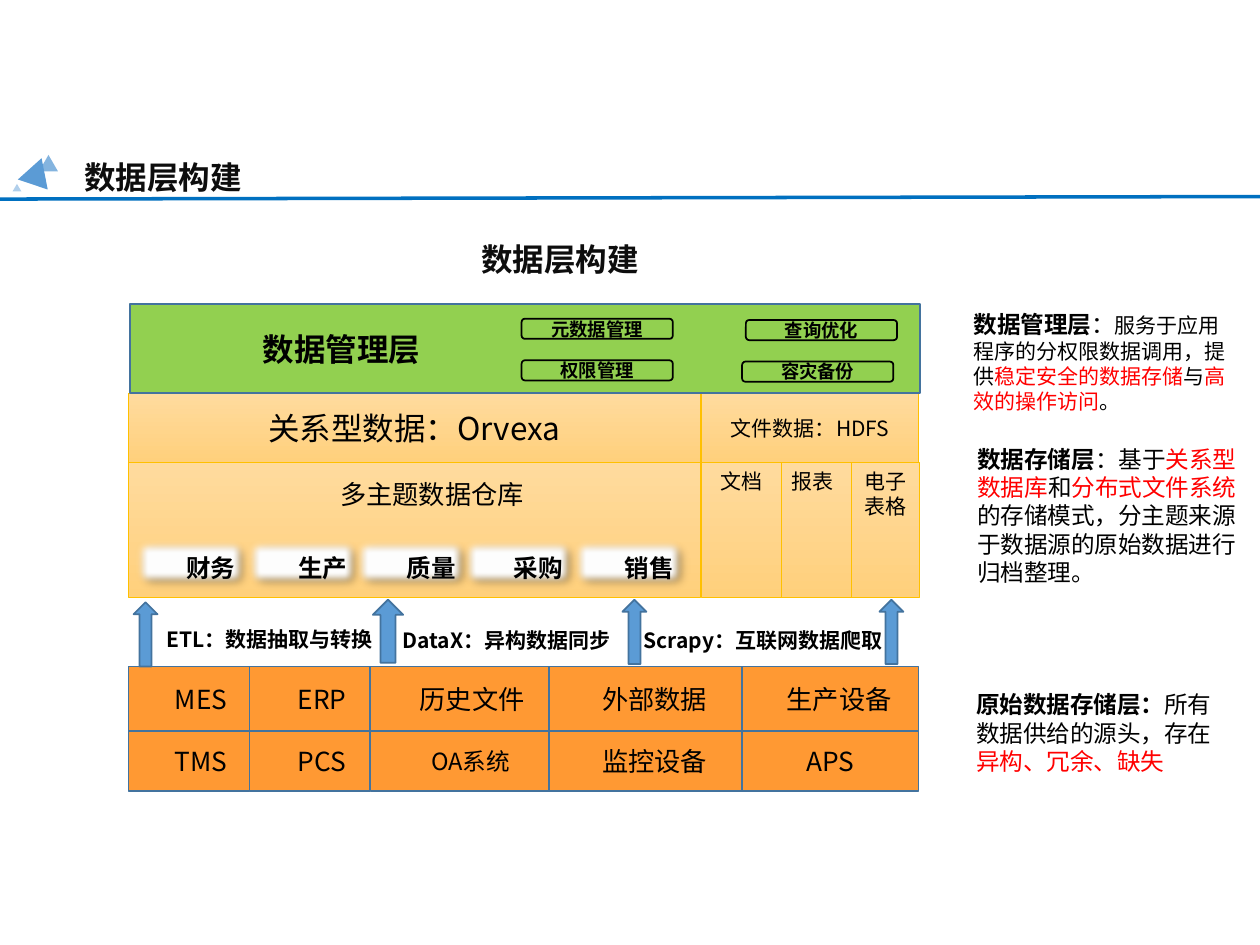
"""Build the data layer architecture slide."""
from lxml import etree
from pptx import Presentation
from pptx.dml.color import RGBColor
from pptx.enum.shapes import MSO_CONNECTOR, MSO_SHAPE
from pptx.enum.text import MSO_ANCHOR, PP_ALIGN
from pptx.oxml import parse_xml
from pptx.oxml.ns import nsdecls, qn
from pptx.util import Inches, Pt

FONT = "Noto Sans CJK SC"
BLUE, EDGE, GOLD, GREEN, ORANGE = "5B9BD5", "43739E", "FFC000", "92D050", "FF9933"
BLACK, INK, RED, WHITE = "000000", "0D0D0D", "FF0000", "FFFFFF"
SAND = ("FFDB9E", "FFD07C")


def write(shape, text, size=12, color=BLACK, bold=False, align=PP_ALIGN.CENTER,
          anchor=MSO_ANCHOR.MIDDLE, margins=(0.1, 0.05, 0.1, 0.05)):
    frame = shape.text_frame
    frame.word_wrap = True
    frame.vertical_anchor = anchor
    frame.margin_left, frame.margin_top, frame.margin_right, frame.margin_bottom = map(Inches, margins)
    paragraph = frame.paragraphs[0]
    paragraph.alignment = align
    for words, changes in [(text, {})] if isinstance(text, str) else text:
        run = paragraph.add_run()
        run.text = words
        font = run.font
        font.size = Pt(changes.get("size", size))
        font.bold = changes.get("bold", bold)
        font.color.rgb = RGBColor.from_string(changes.get("color", color))
        font.name = FONT
        etree.SubElement(run._r.rPr, qn("a:ea")).set("typeface", FONT)


def block(kind, left, top, width, height, fill, line=None, weight=1):
    shape = slide.shapes.add_shape(kind, Inches(left), Inches(top), Inches(width), Inches(height))
    shape.shadow.inherit = False
    if isinstance(fill, tuple):
        shape.fill.gradient()
        shape.fill.gradient_angle = 270
        for stop, color in zip(shape.fill.gradient_stops, fill):
            stop.color.rgb = RGBColor.from_string(color)
    else:
        shape.fill.solid()
        shape.fill.fore_color.rgb = RGBColor.from_string(fill)
    if line:
        shape.line.color.rgb = RGBColor.from_string(line)
        shape.line.width = Pt(weight)
    else:
        shape.line.fill.background()
    return shape


prs = Presentation()
prs.slide_width, prs.slide_height = Inches(10), Inches(7.5)
slide = prs.slides.add_slide(prs.slide_layouts[5])

title = slide.shapes.title
title.left, title.top, title.width, title.height = map(Inches, (0.57, 1.2, 3.9, 0.4))
write(title, "数据层构建", size=18, color=INK, bold=True, align=PP_ALIGN.LEFT, anchor=MSO_ANCHOR.TOP)

for left, top, width, height, turn, opacity in [
    (0.31, 1.23, 0.15, 0.13, 0, 75),
    (0.17, 1.25, 0.25, 0.22, 18.5, 100),
    (0.1, 1.46, 0.07, 0.06, 0, 47),
]:
    triangle = block(MSO_SHAPE.ISOSCELES_TRIANGLE, left, top, width, height, BLUE)
    triangle.rotation = turn
    tint = triangle.fill._xPr.find(qn("a:solidFill"))[0]
    etree.SubElement(tint, qn("a:alpha")).set("val", str(opacity * 1000))

rule = slide.shapes.add_connector(MSO_CONNECTOR.STRAIGHT, Inches(-0.02), Inches(1.58), Inches(10), Inches(1.56))
rule.line.color.rgb = RGBColor.from_string("0070C0")
rule.line.width = Pt(2)
etree.SubElement(rule._element.spPr, qn("a:effectLst"))

for text, left, top, width, height, size, anchor in [
    ("关系型数据：Orvexa", 1.02, 3.12, 4.54, 0.55, 18, MSO_ANCHOR.MIDDLE),
    ("文件数据：HDFS", 5.57, 3.12, 1.72, 0.55, 12, MSO_ANCHOR.MIDDLE),
    ("报表", 6.13, 3.67, 0.64, 1.07, 12, MSO_ANCHOR.TOP),
    ("电子表格", 6.76, 3.67, 0.54, 1.07, 12, MSO_ANCHOR.TOP),
    ("文档", 5.57, 3.67, 0.63, 1.07, 12, MSO_ANCHOR.TOP),
    ("", 1.02, 3.67, 4.54, 1.07, 12, MSO_ANCHOR.TOP),
]:
    store = block(MSO_SHAPE.RECTANGLE, left, top, width, height, SAND, GOLD, 0.5)
    if text:
        write(store, text, size=size, anchor=anchor)

block(MSO_SHAPE.RECTANGLE, 1.03, 2.41, 6.27, 0.71, GREEN, EDGE)
for text, left, top in [
    ("元数据管理", 4.14, 2.53),
    ("权限管理", 4.14, 2.86),
    ("容灾备份", 5.89, 2.87),
    ("查询优化", 5.92, 2.54),
]:
    service = block(MSO_SHAPE.ROUNDED_RECTANGLE, left, top, 1.2, 0.16, GREEN, BLACK)
    write(service, text, size=10.5, bold=True)
management = block(MSO_SHAPE.RECTANGLE, 1.72, 2.57, 1.98, 0.4, GREEN)
write(management, "数据管理层", size=18, bold=True, anchor=MSO_ANCHOR.TOP)

source_edges = [1.02, 1.98, 2.94, 4.36, 5.89, 7.29]
source_rows = [
    (5.29, 0.51, [("MES", 0.29), ("ERP", 0.29), ("历史文件", 0.29), ("外部数据", 0.24), ("生产设备", 0.24)]),
    (5.8, 0.48, [("TMS", 0.29), ("PCS", 0.29), ("OA系统", 0.27), ("监控设备", 0.24), ("APS", 0.1)]),
]
for top, height, sources in source_rows:
    for (text, inset), left, right in zip(sources, source_edges, source_edges[1:]):
        source = block(MSO_SHAPE.RECTANGLE, left, top, right - left, height, ORANGE, EDGE)
        write(source, text, size=13.5 if text == "OA系统" else 15, margins=(inset, 0.05, 0.1, 0.05))

for left, top, width, height in [
    (1.06, 4.78, 0.19, 0.51),
    (2.96, 4.76, 0.24, 0.5),
    (4.94, 4.76, 0.19, 0.51),
    (6.98, 4.76, 0.19, 0.51),
]:
    block(MSO_SHAPE.UP_ARROW, left, top, width, height, BLUE, EDGE)

for text, left in [("财务", 1.05), ("生产", 1.94), ("质量", 2.8), ("采购", 3.65), ("销售", 4.53)]:
    theme = block(MSO_SHAPE.RECTANGLE, left, 4.26, 0.92, 0.41, WHITE, EDGE)
    effects = theme._element.spPr.find(qn("a:effectLst"))
    effects.append(parse_xml(
        f'<a:outerShdw {nsdecls("a")} blurRad="50800" dist="38100" dir="2700000" algn="tl" rotWithShape="0">'
        f'<a:srgbClr val="{BLACK}"><a:alpha val="40000"/></a:srgbClr></a:outerShdw>'))
    etree.SubElement(effects, qn("a:softEdge")).set("rad", "63500")
    label = slide.shapes.add_textbox(Inches(left + 0.33), Inches(4.34), Inches(0.59), Inches(0.34))
    write(label, text, size=14, bold=True, align=PP_ALIGN.LEFT, anchor=MSO_ANCHOR.TOP)

plain, red, black = {"bold": False}, {"bold": False, "color": RED}, {"bold": False}
small, small_red = {"bold": False, "size": 12}, {"bold": False, "size": 12, "color": RED}
left_top = {"align": PP_ALIGN.LEFT, "anchor": MSO_ANCHOR.TOP}
heading = {"size": 18, "color": INK, "bold": True, **left_top}
tool = {"bold": True, "anchor": MSO_ANCHOR.TOP, "margins": (0.07, 0.04, 0.07, 0.04)}
note = {"size": 13.5, "bold": True, **left_top}
for left, top, width, height, text, style in [
    (2.55, 3.75, 1.9, 0.35, "多主题数据仓库", {"size": 15, "margins": (0.15, 0.05, 0.1, 0.05), **left_top}),
    (3.72, 1.86, 1.57, 0.4, "数据层构建", heading),
    (0.57, 4.93, 3.14, 0.28, "ETL：数据抽取与转换", tool),
    (2.45, 4.94, 3.14, 0.28, "DataX：异构数据同步", tool),
    (4.96, 4.94, 2.19, 0.28, "Scrapy：互联网数据爬取", tool),
    (7.63, 2.41, 2.26, 0.93, [
        ("数据管理层", {}), ("：", plain), ("服务于应用程序的分权限数据调用，提供", small),
        ("稳定安全的数据存储", small_red), ("与", small), ("高效的操作访问", small_red), ("。", small)], note),
    (7.66, 3.48, 2.26, 1.24, [
        ("数据存储层", {}), ("：基于", plain), ("关系型数据库", red), ("和", plain), ("分布式文件系统", red),
        ("的存储模式，分主题来源于数据源的原始数据进行归档整理。", plain)], note),
    (7.65, 5.43, 2.23, 0.78, [
        ("原始数据存储层：", {}), ("所有数据供给的源头，存在", plain), ("异构、冗余、缺失", red)], note),
]:
    caption = slide.shapes.add_textbox(Inches(left), Inches(top), Inches(width), Inches(height))
    write(caption, text, **style)

prs.save("out.pptx")
